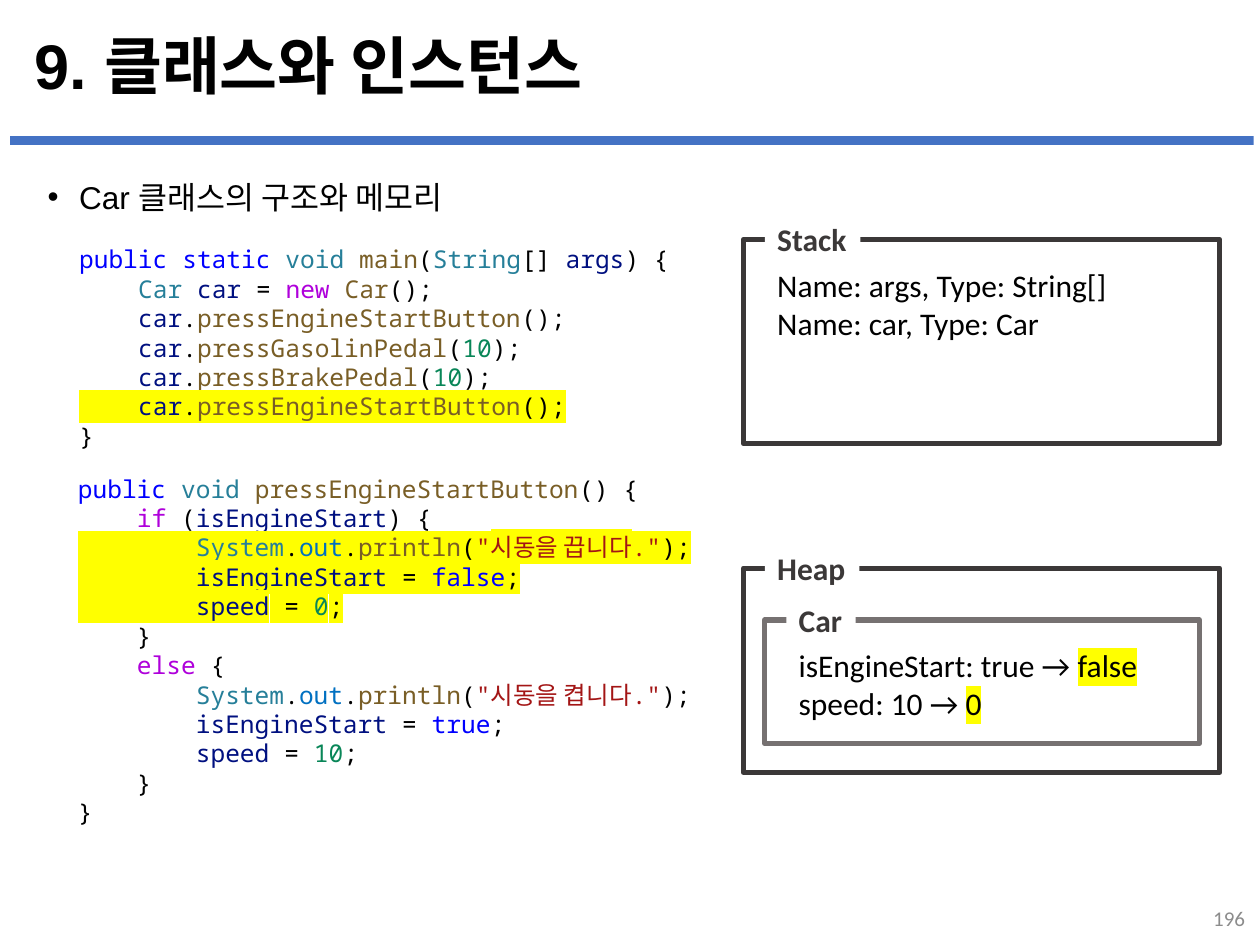
import dataclasses
import itertools

import pptx
import pptx.dml.color
import pptx.enum.shapes
import pptx.enum.text
import pptx.oxml
import pptx.oxml.ns
import pptx.util
from pptx.util import Inches

ALIGN = pptx.enum.text.PP_ALIGN
ANCHOR = pptx.enum.text.MSO_ANCHOR


@dataclasses.dataclass(frozen=True)
class Theme:
    heading_font: str = "Arial"
    label_font: str = "Calibri"
    code_font: str = "Noto Sans Mono"
    title_size: int = 36
    body_size: int = 18
    code_size: int = 14
    number_size: int = 12
    black: str = "000000"
    white: str = "FFFFFF"
    rule: str = "4472C4"
    frame: str = "3B3838"
    inner_frame: str = "767171"
    page_number: str = "8C8C8C"
    highlight: str = "FFFF00"
    keyword: str = "0000FF"
    control: str = "AF00DB"
    type_name: str = "267F99"
    function: str = "795E26"
    variable: str = "001080"
    constant: str = "0070C1"
    number: str = "098658"
    string: str = "A31515"


THEME = Theme()
WORD_COLORS = {
    **dict.fromkeys(("public", "static", "true", "false"), THEME.keyword),
    **dict.fromkeys(("if", "else", "new"), THEME.control),
    **dict.fromkeys(("void", "String", "System", "Car"), THEME.type_name),
    "out": THEME.constant,
}

MAIN_CODE = """public static void main(String[] args) {
    Car car = new Car();
    car.pressEngineStartButton();
    car.pressGasolinPedal(10);
    car.pressBrakePedal(10);
    car.pressEngineStartButton();
}"""

BUTTON_CODE = """public void pressEngineStartButton() {
    if (isEngineStart) {
        System.out.println("시동을 끕니다.");
        isEngineStart = false;
        speed = 0;
    }
    else {
        System.out.println("시동을 켭니다.");
        isEngineStart = true;
        speed = 10;
    }
}"""


def rgb(color):
    return pptx.dml.color.RGBColor.from_string(color)


def write_text(shape, lines, *, font, size, color=THEME.black, bold=False, wrap=True,
               align=ALIGN.LEFT, anchor=ANCHOR.TOP, line_spacing=None):
    """Fill a shape; each line is a list of (text, color or None, highlighted) runs."""
    frame = shape.text_frame
    frame.word_wrap = wrap
    frame.vertical_anchor = anchor
    for index, runs in enumerate(lines):
        paragraph = frame.add_paragraph() if index else frame.paragraphs[0]
        paragraph.alignment = align
        paragraph.line_spacing = line_spacing
        for text, run_color, highlighted in runs:
            run = paragraph.add_run()
            run.text = text
            run.font.size = pptx.util.Pt(size)
            run.font.bold = bold
            run.font.color.rgb = rgb(run_color or color)
            if highlighted:
                add_highlight(run)
            run.font.name = font


def add_highlight(run):
    fill = run.font._element.find(pptx.oxml.ns.qn("a:solidFill"))
    fill.addnext(pptx.oxml.parse_xml(
        f'<a:highlight {pptx.oxml.ns.nsdecls("a")}>'
        f'<a:srgbClr val="{THEME.highlight}"/></a:highlight>'))


def plain(text):
    return [(text, None, False)]


def add_text(slide, box, lines, **text_format):
    shape = slide.shapes.add_textbox(*map(Inches, box))
    write_text(shape, lines, **text_format)
    return shape


def add_rectangle(slide, box, *, fill=None, line=None):
    shape = slide.shapes.add_shape(
        pptx.enum.shapes.MSO_SHAPE.RECTANGLE, *map(Inches, box))
    shape.shadow.inherit = False
    if fill:
        shape.fill.solid()
        shape.fill.fore_color.rgb = rgb(fill)
    else:
        shape.fill.background()
    if line:
        shape.line.color.rgb = rgb(line)
        shape.line.width = pptx.util.Pt(3)
    else:
        shape.line.fill.background()
    return shape


def color_code_line(line, highlighted):
    """Split a line of code into runs coloured by syntax."""
    runs = []
    for index, part in enumerate(line.split('"')):
        if index % 2:
            runs.append((f'"{part}"', THEME.string, highlighted))
            continue
        tokens = ["".join(group) for _, group in itertools.groupby(part, str.isalnum)]
        for token, following in itertools.zip_longest(tokens, tokens[1:], fillvalue=""):
            if not token.isalnum():
                color = THEME.black
            elif token.isdigit():
                color = THEME.number
            elif following.startswith("(") or (following == "" and index == 0 and '"' in line):
                color = THEME.function
            else:
                color = WORD_COLORS.get(token, THEME.variable)
            runs.append((token, color, highlighted))
    return runs


def add_code(slide, box, code, highlighted_lines):
    lines = [color_code_line(line, number in highlighted_lines)
             for number, line in enumerate(code.splitlines(), start=1)]
    add_text(slide, box, lines, font=THEME.code_font, size=THEME.code_size)


def add_memory_frame(slide, box, label, label_width, line, content=(), content_width=0):
    """Draw a frame whose label interrupts its top edge, with text inside."""
    left, top = box[:2]
    add_rectangle(slide, box, line=line)
    tag = add_rectangle(slide, (left + 0.17, top - 0.2, label_width, 0.4), fill=THEME.white)
    write_text(tag, [plain(label)], font=THEME.label_font, size=THEME.body_size,
               color=THEME.frame, bold=True, wrap=False)
    if content:
        add_text(slide, (left + 0.17, top + 0.16, content_width, 0.71), content,
                 font=THEME.label_font, size=THEME.body_size, wrap=False)


def add_heading(slide, box, title):
    left, top, width, height = box
    add_rectangle(slide, (0.08, 1.08, 9.87, 0.07), fill=THEME.rule)
    shape = slide.shapes.title
    shape.left, shape.top = Inches(left), Inches(top)
    shape.width, shape.height = Inches(width), Inches(height)
    write_text(shape, [plain(title)], font=THEME.heading_font, size=THEME.title_size,
               bold=True, anchor=ANCHOR.MIDDLE, line_spacing=0.9)


def add_bullet(slide, box, text):
    shape = add_text(slide, box, [plain(text)], font=THEME.heading_font, size=THEME.body_size)
    properties = shape.text_frame.paragraphs[0]._p.get_or_add_pPr()
    properties.set("marL", str(Inches(0.25)))
    properties.set("indent", str(Inches(-0.25)))
    properties.append(pptx.oxml.parse_xml(
        f'<a:buFont {pptx.oxml.ns.nsdecls("a")} typeface="{THEME.heading_font}"/>'))
    properties.append(pptx.oxml.parse_xml(
        f'<a:buChar {pptx.oxml.ns.nsdecls("a")} char="•"/>'))


def add_memory(slide, box):
    """Place the stack above the heap, which holds the Car instance."""
    left, top, width, height = box
    frame_height = 1.62
    heap_top = top + height - frame_height
    add_memory_frame(slide, (left, top, width, frame_height), "Stack", 0.76, THEME.frame,
                     [plain("Name: args, Type: String[]"), plain("Name: car, Type: Car")], 2.85)
    add_memory_frame(slide, (left, heap_top, width, frame_height), "Heap", 0.75, THEME.frame)
    add_memory_frame(slide, (left + 0.17, heap_top + 0.41, 3.45, 0.98), "Car", 0.55,
                     THEME.inner_frame,
                     [plain("isEngineStart: true → ") + [("false", None, True)],
                      plain("speed: 10 → ") + [("0", None, True)]], 2.94)


def main():
    presentation = pptx.Presentation()
    presentation.slide_width, presentation.slide_height = Inches(10), Inches(7.5)
    slide = presentation.slides.add_slide(presentation.slide_layouts[5])
    add_heading(slide, (0.17, 0.22, 9.66, 0.66), "9. 클래스와 인스턴스")
    add_bullet(slide, (0.28, 1.36, 9.4, 0.45), "Car 클래스의 구조와 메모리")
    add_code(slide, (0.53, 1.89, 5.13, 1.75), MAIN_CODE, {6})
    add_code(slide, (0.52, 3.71, 5.78, 2.93), BUTTON_CODE, {3, 4, 5})
    add_memory(slide, (5.9, 1.9, 3.78, 4.23))
    add_text(slide, (7.73, 7.09, 2.25, 0.4), [plain("196")], font=THEME.label_font,
             size=THEME.number_size, color=THEME.page_number, align=ALIGN.RIGHT,
             anchor=ANCHOR.MIDDLE)
    presentation.save("out.pptx")


if __name__ == "__main__":
    main()
